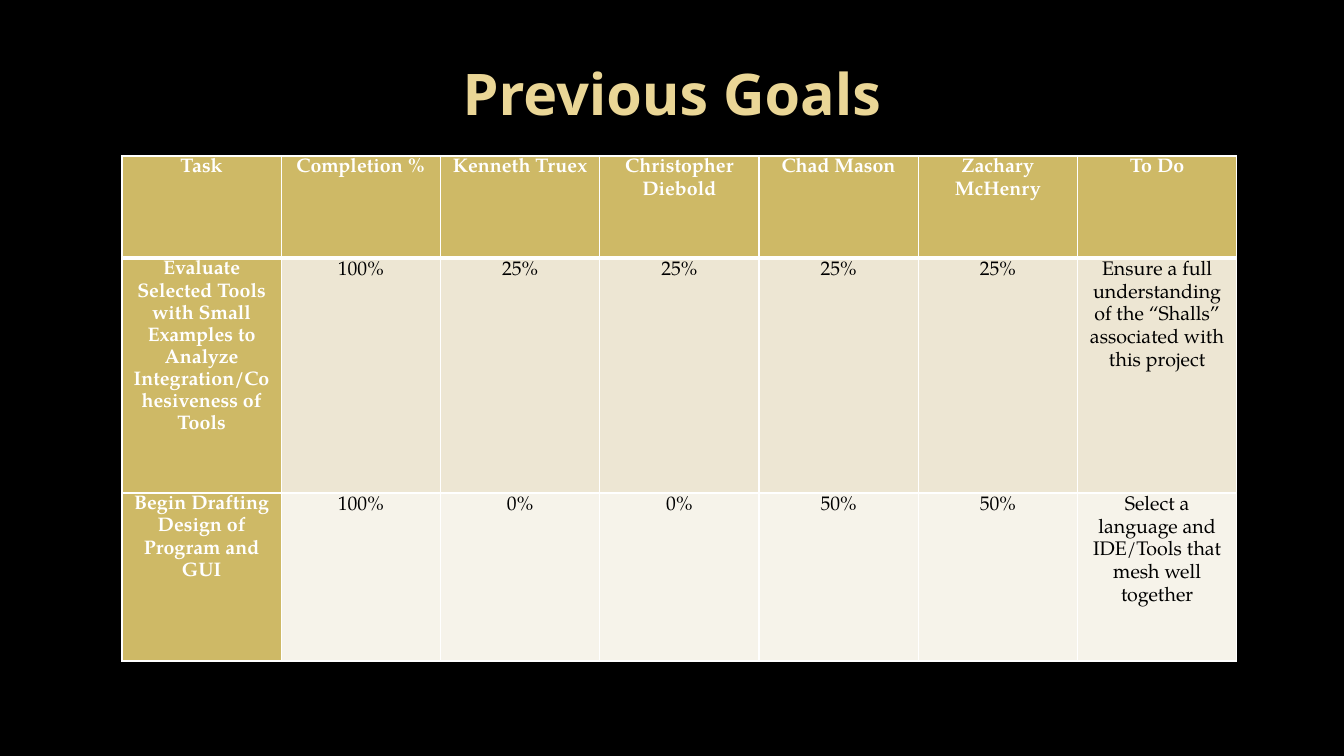
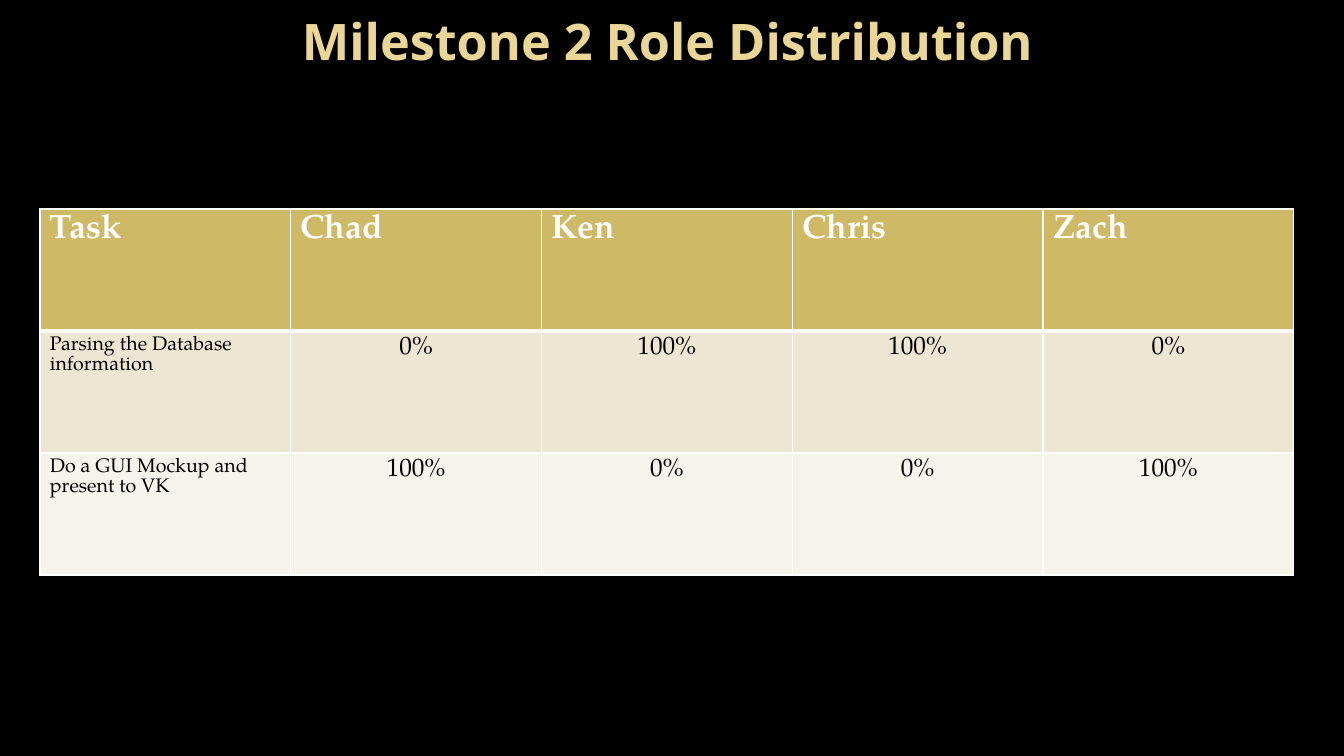
from lxml.etree import SubElement
from pptx import Presentation
from pptx.dml.color import RGBColor
from pptx.enum.text import MSO_ANCHOR, MSO_AUTO_SIZE, PP_ALIGN
from pptx.oxml.ns import qn
from pptx.util import Pt

EMU_PER_PX = 12192000 / 1344
BLACK, WHITE = "000000", "FFFFFF"
GOLD, PALE_GOLD = "CEB966", "EAD696"
BANDS = ("EDE6D3", "F6F3EA")
TITLE_FONT, BODY_FONT = "Open Sans", "TeX Gyre Pagella"


def px(n):
    return round(n * EMU_PER_PX)


def rgb(code):
    return RGBColor.from_string(code)


class Deck:
    """Holds the shared style and the slide being built."""

    def __init__(self):
        self.prs = Presentation()
        self.prs.slide_width, self.prs.slide_height = px(1344), px(756)
        self.s = None

    def slide(self):
        self.s = self.prs.slides.add_slide(self.prs.slide_layouts[5])
        fill = self.s.background.fill
        fill.solid()
        fill.fore_color.rgb = rgb(BLACK)

    def run(self, p, text, size, color, bold, font=BODY_FONT):
        r = p.add_run()
        r.text = text
        r.font.name, r.font.size, r.font.bold = font, Pt(size), bold
        r.font.color.rgb = rgb(color)

    def title(self, text, x, y, w, h, size):
        sp = self.s.shapes.title
        sp.left, sp.top, sp.width, sp.height = px(x), px(y), px(w), px(h)
        tf = sp.text_frame
        tf.word_wrap, tf.auto_size = True, MSO_AUTO_SIZE.NONE
        tf.vertical_anchor = MSO_ANCHOR.MIDDLE
        p = tf.paragraphs[0]
        p.alignment = PP_ALIGN.CENTER
        self.run(p, text, size, PALE_GOLD, True, TITLE_FONT)

    def borders(self, cell, row):
        """White rules, with a heavy one under the header row."""
        tcPr = cell._tc.get_or_add_tcPr()
        heavy = {0: "lnB", 1: "lnT"}.get(row)
        for side in ("lnL", "lnR", "lnT", "lnB"):
            width = Pt(3 if side == heavy else 1)
            ln = SubElement(tcPr, qn(f"a:{side}"), w=str(width))
            fill = SubElement(ln, qn("a:solidFill"))
            SubElement(fill, qn("a:srgbClr"), val=WHITE)

    def table(self, rows, x, y, w, heights, text_style, inset,
              spacing=None, gold_column=False):
        """text_style(row, col) gives the size and alignment of a cell."""
        cols = len(rows[0])
        table = self.s.shapes.add_table(
            len(rows), cols, px(x), px(y), px(w), px(sum(heights))).table
        for column in table.columns:
            column.width = px(w / cols)
        for i, texts in enumerate(rows):
            table.rows[i].height = px(heights[i])
            for j, text in enumerate(texts):
                cell = table.cell(i, j)
                cell.margin_left = cell.margin_right = px(inset[0])
                cell.margin_top = cell.margin_bottom = px(inset[1])
                self.borders(cell, i)
                heading = i == 0 or (gold_column and j == 0)
                cell.fill.solid()
                cell.fill.fore_color.rgb = rgb(
                    GOLD if heading else BANDS[(i - 1) % 2])
                size, align = text_style(i, j)
                p = cell.text_frame.paragraphs[0]
                p.alignment, p.line_spacing = align, spacing
                self.run(p, text, size, WHITE if heading else BLACK, heading)


def goal_style(row, col):
    return 14, PP_ALIGN.CENTER


def role_style(row, col):
    if row == 0:
        return 24, PP_ALIGN.LEFT
    return (14, PP_ALIGN.LEFT) if col == 0 else (18, PP_ALIGN.CENTER)


def main():
    deck = Deck()

    deck.slide()
    deck.title("Previous Goals", 67, 30, 1210, 126, 41)
    goals = [
        ("Task", "Completion %", "Kenneth Truex", "Christopher Diebold",
         "Chad Mason", "Zachary McHenry", "To Do"),
        ("Evaluate Selected Tools with Small Examples to Analyze "
         "Integration/Cohesiveness of Tools",
         "100%", "25%", "25%", "25%", "25%",
         "Ensure a full understanding of the “Shalls” associated with "
         "this project"),
        ("Begin Drafting Design of Program and GUI",
         "100%", "0%", "0%", "50%", "50%",
         "Select a language and IDE/Tools that mesh well together"),
    ]
    deck.table(goals, 122, 156, 1115, (102, 235, 168), goal_style, (7, 0),
               spacing=1.15, gold_column=True)

    deck.slide()
    deck.title("Milestone 2 Role Distribution", 178, 0, 979, 81, 36)
    roles = [
        ("Task", "Chad", "Ken", "Chris", "Zach"),
        ("Parsing the Database information", "0%", "100%", "100%", "0%"),
        ("Do a GUI Mockup and present to VK", "100%", "0%", "0%", "100%"),
    ]
    deck.table(roles, 40, 209, 1254, (122, 122, 122), role_style, (10, 5))

    deck.prs.save("out.pptx")


if __name__ == "__main__":
    main()
